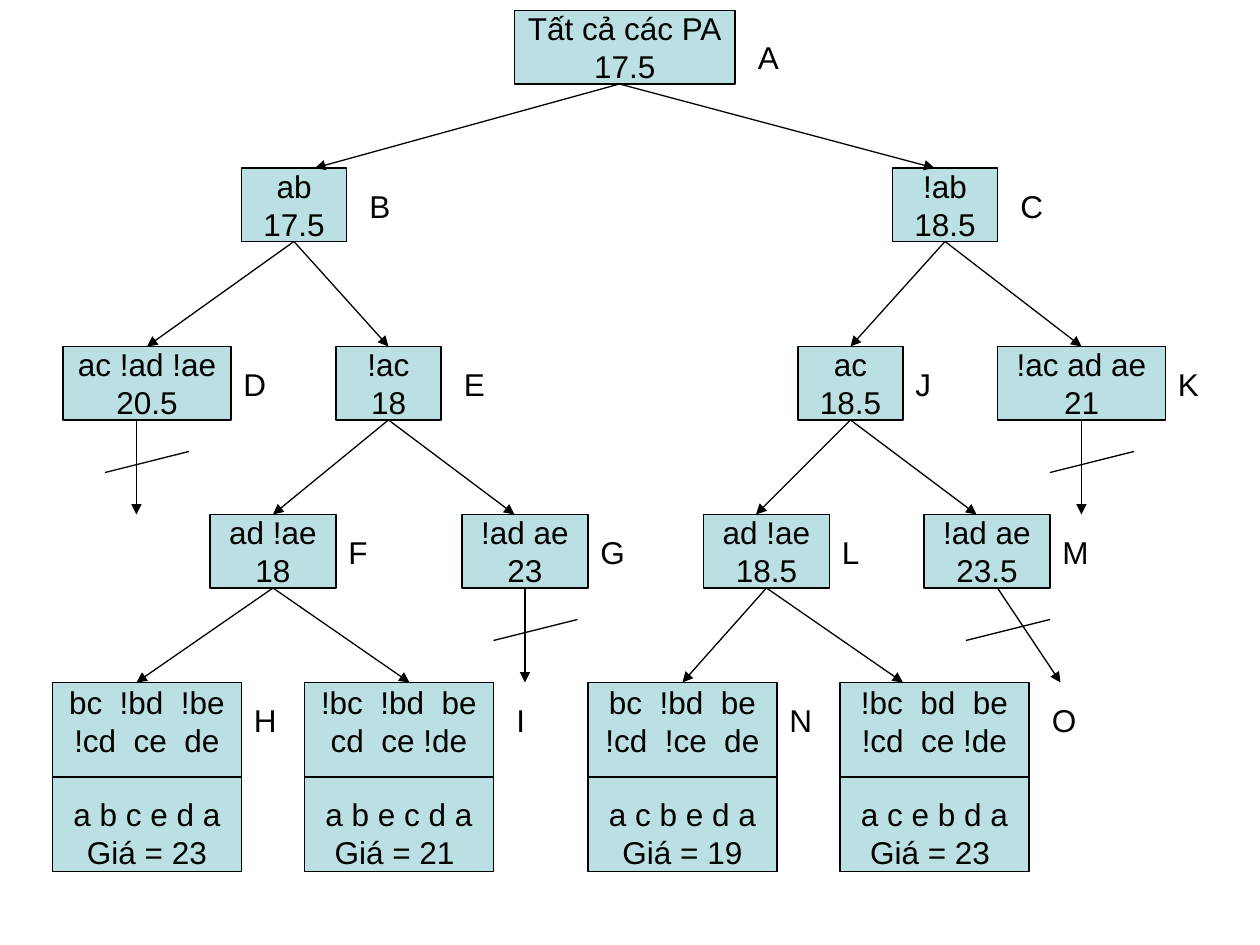
from collections import namedtuple

from lxml.etree import SubElement
from pptx import Presentation
from pptx.dml.color import RGBColor
from pptx.enum.shapes import MSO_CONNECTOR as CONNECTOR, MSO_SHAPE as SHAPE
from pptx.enum.text import MSO_ANCHOR as ANCHOR, PP_ALIGN as ALIGN
from pptx.oxml.ns import qn
from pptx.util import Inches, Pt

BLACK = "000000"
PALE_TEAL = "BBE0E3"
LINE_WIDTH = Pt(0.74)
NODE_HEIGHT = 7
LEAF_SIZE = 18
LEAF_LINE = 74

Node = namedtuple("Node", "name left top width label_gap lines")
Branch = namedtuple("Branch", "start_x start_y end_y ends")

NODES = [
    Node("A", 49, 1, 21, 1, ["Tất cả các PA", "17.5"]),
    Node("B", 23, 16, 10, 1, ["ab", "17.5"]),
    Node("C", 85, 16, 10, 1, ["!ab", "18.5"]),
    Node("D", 6, 33, 16, 0, ["ac !ad !ae", "20.5"]),
    Node("E", 32, 33, 10, 1, ["!ac", "18"]),
    Node("J", 76, 33, 10, 0, ["ac", "18.5"]),
    Node("K", 95, 33, 16, 0, ["!ac ad ae", "21"]),
    Node("F", 20, 49, 12, 0, ["ad !ae", "18"]),
    Node("G", 44, 49, 12, 0, ["!ad ae", "23"]),
    Node("L", 67, 49, 12, 0, ["ad !ae", "18.5"]),
    Node("M", 88, 49, 12, 0, ["!ad ae", "23.5"]),
]

LEAVES = [
    Node("H", 5, 65, LEAF_SIZE, 0,
         ["bc  !bd  !be", "!cd  ce  de", "a b c e d a", "Giá = 23"]),
    Node("I", 29, 65, LEAF_SIZE, 1,
         ["!bc  !bd  be", "cd  ce !de", "a b e c d a", "Giá = 21 "]),
    Node("N", 56, 65, LEAF_SIZE, 0,
         ["bc  !bd  be", "!cd  !ce  de", "a c b e d a", "Giá = 19"]),
    Node("O", 80, 65, LEAF_SIZE, 1,
         ["!bc  bd  be", "!cd  ce !de", "a c e b d a", "Giá = 23 "]),
]

BRANCHES = [
    Branch(59, 8, 16, [30, 89]),
    Branch(28, 23, 33, [14, 37]),
    Branch(90, 23, 33, [81, 103]),
    Branch(37, 40, 49, [26, 49]),
    Branch(81, 40, 49, [72, 93]),
    Branch(26, 56, 65, [13, 39]),
    Branch(73, 56, 65, [65, 86]),
]

PRUNED = [
    Branch(50, 56, 65, [50]),
    Branch(103, 40, 49, [103]),
    Branch(13, 40, 49, [13]),
    Branch(95, 56, 65, [101]),
]


def color(code):
    """Turn a hex string into a colour."""
    return RGBColor.from_string(code)


def grid(units):
    """Give the length of a number of grid units, twelve to the inch."""
    return Inches(units / 12)


def add_span(para, text):
    """Add one run in the slide's text style."""
    span = para.add_run()
    span.text = text
    span.font.name = "Arial"
    span.font.size = Pt(18)
    span.font.color.rgb = color(BLACK)


def add_box(page, node, height):
    """Draw the node's rectangle with its centred lines."""
    box = page.shapes.add_shape(SHAPE.RECTANGLE, grid(node.left), grid(node.top),
                                grid(node.width), grid(height))
    box.shadow.inherit = False
    box.fill.solid()
    box.fill.fore_color.rgb = color(PALE_TEAL)
    box.line.color.rgb = color(BLACK)
    box.line.width = LINE_WIDTH
    frame = box.text_frame
    frame.word_wrap = False
    frame.vertical_anchor = ANCHOR.MIDDLE
    for index, text in enumerate(node.lines):
        para = frame.add_paragraph() if index else frame.paragraphs[0]
        para.alignment = ALIGN.CENTER
        if index == 2:
            para.space_before = Pt(21)
        add_span(para, text)


def add_label(page, node):
    """Write the node's letter to the right of its box."""
    drop = Inches(0.17 if node.name == "A" else 0.1)
    box = page.shapes.add_textbox(grid(node.left + node.width + node.label_gap),
                                  grid(node.top) + drop, Inches(0.42), Inches(0.4))
    box.text_frame.word_wrap = True
    para = box.text_frame.paragraphs[0]
    para.space_before = Pt(11.2)
    add_span(para, node.name)


def add_line(page, start, end, arrow=False):
    """Draw a straight line between two grid points."""
    points = [grid(units) for units in (*start, *end)]
    line = page.shapes.add_connector(CONNECTOR.STRAIGHT, *points)
    line.line.color.rgb = color(BLACK)
    line.line.width = LINE_WIDTH
    if arrow:
        SubElement(line.line._get_or_add_ln(), qn("a:tailEnd"), type="triangle")
    SubElement(line._element.spPr, qn("a:effectLst"))


def add_branch(page, branch):
    """Draw the arrows that leave one node."""
    for end_x in branch.ends:
        add_line(page, (branch.start_x, branch.start_y), (end_x, branch.end_y), arrow=True)


def main():
    """Build the branch and bound tree."""
    deck = Presentation()
    deck.slide_width, deck.slide_height = Inches(10), Inches(7.5)
    page = deck.slides.add_slide(deck.slide_layouts[6])
    for node in NODES:
        add_box(page, node, NODE_HEIGHT)
        add_label(page, node)
    for leaf in LEAVES:
        add_box(page, leaf, LEAF_SIZE)
        add_label(page, leaf)
        add_line(page, (leaf.left, LEAF_LINE), (leaf.left + leaf.width, LEAF_LINE))
    for branch in BRANCHES:
        add_branch(page, branch)
    for branch in PRUNED:
        add_branch(page, branch)
        add_line(page, (branch.start_x - 3, branch.start_y + 5),
                 (branch.start_x + 5, branch.start_y + 3))
    deck.save("out.pptx")


main()
